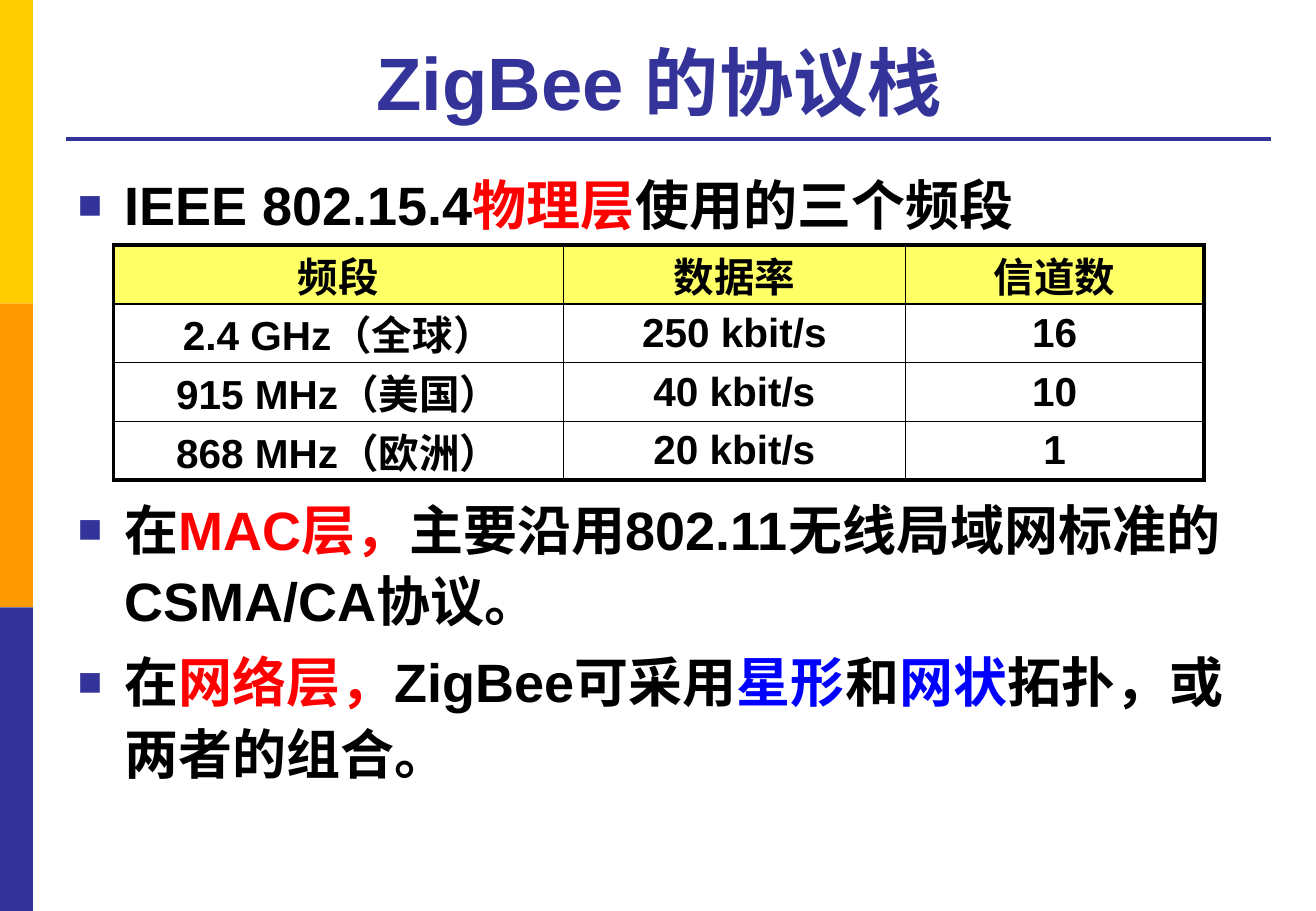
from lxml import etree
from pptx import Presentation
from pptx import util as u
from pptx.dml.color import RGBColor
from pptx.enum import lang, shapes, text
from pptx.oxml.ns import qn

W, H = u.Inches(10.83), u.Inches(7.5)
FONT = "Arial"
COLORS = {
    "yellow": "FFCC00", "orange": "FF9900", "indigo": "333399",
    "header": "FFFF66", "black": "000000", "red": "FF0000", "blue": "0000FF",
}
BANDS = [
    ("频段", "数据率", "信道数"),
    ("2.4 GHz（全球）", "250 kbit/s", "16"),
    ("915 MHz（美国）", "40 kbit/s", "10"),
    ("868 MHz（欧洲）", "20 kbit/s", "1"),
]
COLUMN_SHARES = (34.2, 26, 22.7)
ROW_SHARE = 6.26
# Each point: space before in points, then (text, colour) runs
POINTS = [
    (6, [("IEEE 802.15.4", "black"), ("物理层", "red"),
         ("使用的三个频段", "black")]),
    (150, [("在", "black"), ("MAC层，", "red"),
           ("主要沿用802.11无线局域网标准的CSMA/CA协议。", "black")]),
    (6, [("在", "black"), ("网络层，", "red"), ("ZigBee可采用", "black"),
         ("星形", "blue"), ("和", "black"), ("网状", "blue"),
         ("拓扑，或两者的组合。", "black")]),
]


def rgb(name):
    return RGBColor.from_string(COLORS[name])


def x(share):
    """Percent of the slide width."""
    return int(W * share / 100)


def y(share):
    """Percent of the slide height."""
    return int(H * share / 100)


def child(parent, tag, **attrs):
    return etree.SubElement(parent, qn(tag), attrs)


def place(sp, left, top, width, height):
    sp.left, sp.top, sp.width, sp.height = x(left), y(top), x(width), y(height)


def write(p, runs, size, align):
    p.alignment = align
    p.font.name, p.font.size, p.font.bold = FONT, u.Pt(size), True
    for words, color in runs:
        r = p.add_run()
        r.text = words
        r.font.color.rgb = rgb(color)
        r.font.language_id = lang.MSO_LANGUAGE_ID.SIMPLIFIED_CHINESE


def add_bullet(p):
    pPr = p._p.get_or_add_pPr()
    pPr.set("marL", str(u.Inches(0.38)))
    pPr.set("indent", str(-u.Inches(0.38)))
    child(child(pPr, "a:buClr"), "a:srgbClr", val=COLORS["indigo"])
    child(pPr, "a:buSzPct", val="75000")
    child(pPr, "a:buFont", typeface=FONT)
    child(pPr, "a:buChar", char="■")


def add_bar(s, index, color):
    sp = s.shapes.add_shape(shapes.MSO_SHAPE.RECTANGLE, 0, H * index // 3,
                            x(2.5), H // 3)
    sp.shadow.inherit = False
    sp.fill.solid()
    sp.fill.fore_color.rgb = rgb(color)
    sp.line.fill.background()


def add_rule(s, left, right, top):
    line = s.shapes.add_connector(shapes.MSO_CONNECTOR.STRAIGHT,
                                  x(left), y(top), x(right), y(top))
    line.line.color.rgb = rgb("indigo")
    line.line.width = u.Pt(2.25)
    child(line._element.spPr, "a:effectLst")


def set_title(sp):
    place(sp, 5, 2.8, 91.5, 11.6)
    tf = sp.text_frame
    tf.vertical_anchor = text.MSO_ANCHOR.BOTTOM
    tf.auto_size = text.MSO_AUTO_SIZE.NONE
    write(tf.paragraphs[0], [("ZigBee 的协议栈 ", "indigo")], 44,
          text.PP_ALIGN.CENTER)


def set_points(sp):
    place(sp, 5, 17.5, 91.5, 72)
    tf = sp.text_frame
    tf.vertical_anchor = text.MSO_ANCHOR.TOP
    tf.auto_size = text.MSO_AUTO_SIZE.NONE
    for i, (space, runs) in enumerate(POINTS):
        p = tf.add_paragraph() if i else tf.paragraphs[0]
        add_bullet(p)
        p.line_spacing, p.space_before = 1.1, u.Pt(space)
        write(p, runs, 32, text.PP_ALIGN.LEFT)


def set_borders(cell, outer_sides):
    tcPr = cell._tc.get_or_add_tcPr()
    for i, side in enumerate("LRTB"):
        width = u.Pt(2.25 if side in outer_sides else 1)
        ln = etree.Element(qn(f"a:ln{side}"), w=str(width))
        child(child(ln, "a:solidFill"), "a:srgbClr", val=COLORS["black"])
        tcPr.insert(i, ln)


def add_band_table(s):
    rows, cols = len(BANDS), len(COLUMN_SHARES)
    table = s.shapes.add_table(rows, cols, x(8.6), y(26.9),
                               x(sum(COLUMN_SHARES)), y(ROW_SHARE * rows)).table
    for column, share in zip(table.columns, COLUMN_SHARES):
        column.width = x(share)
    for i, values in enumerate(BANDS):
        table.rows[i].height = y(ROW_SHARE)
        for j, value in enumerate(values):
            cell = table.cell(i, j)
            cell.margin_left = cell.margin_right = u.Inches(0.07)
            cell.margin_top = cell.margin_bottom = 0
            cell.vertical_anchor = text.MSO_ANCHOR.MIDDLE
            if i == 0:
                cell.fill.solid()
                cell.fill.fore_color.rgb = rgb("header")
            else:
                cell.fill.background()
            edges = {"L": j == 0, "R": j == cols - 1,
                     "T": i == 0, "B": i == rows - 1}
            set_borders(cell, [side for side, outer in edges.items() if outer])
            write(cell.text_frame.paragraphs[0], [(value, "black")], 24,
                  text.PP_ALIGN.CENTER)


def main():
    prs = Presentation()
    prs.slide_width, prs.slide_height = W, H
    s = prs.slides.add_slide(prs.slide_layouts[1])

    # Side bars and title rule
    for i, color in enumerate(("yellow", "orange", "indigo")):
        add_bar(s, i, color)
    add_rule(s, 5, 96.6, 15.3)

    # Title and bullet points
    set_title(s.shapes.title)
    set_points(s.placeholders[1])

    # Frequency bands
    add_band_table(s)

    prs.save("out.pptx")


if __name__ == "__main__":
    main()
